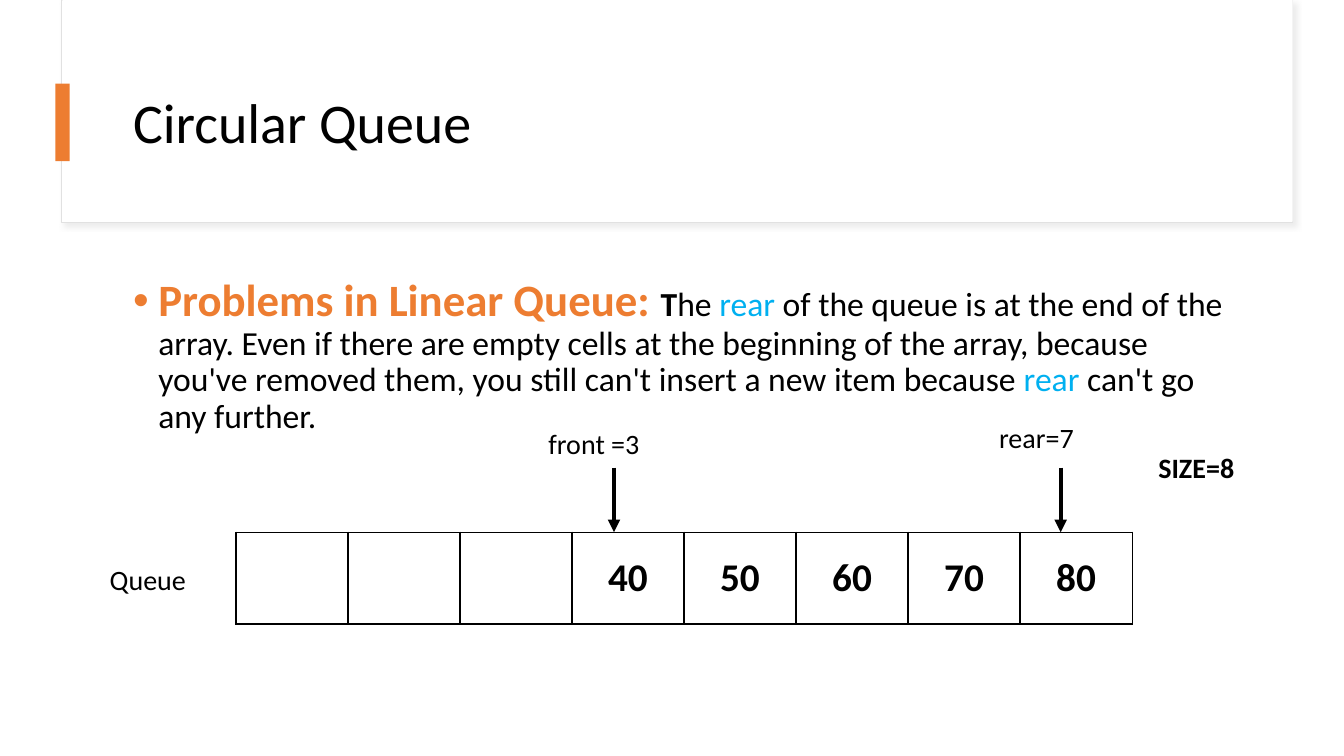
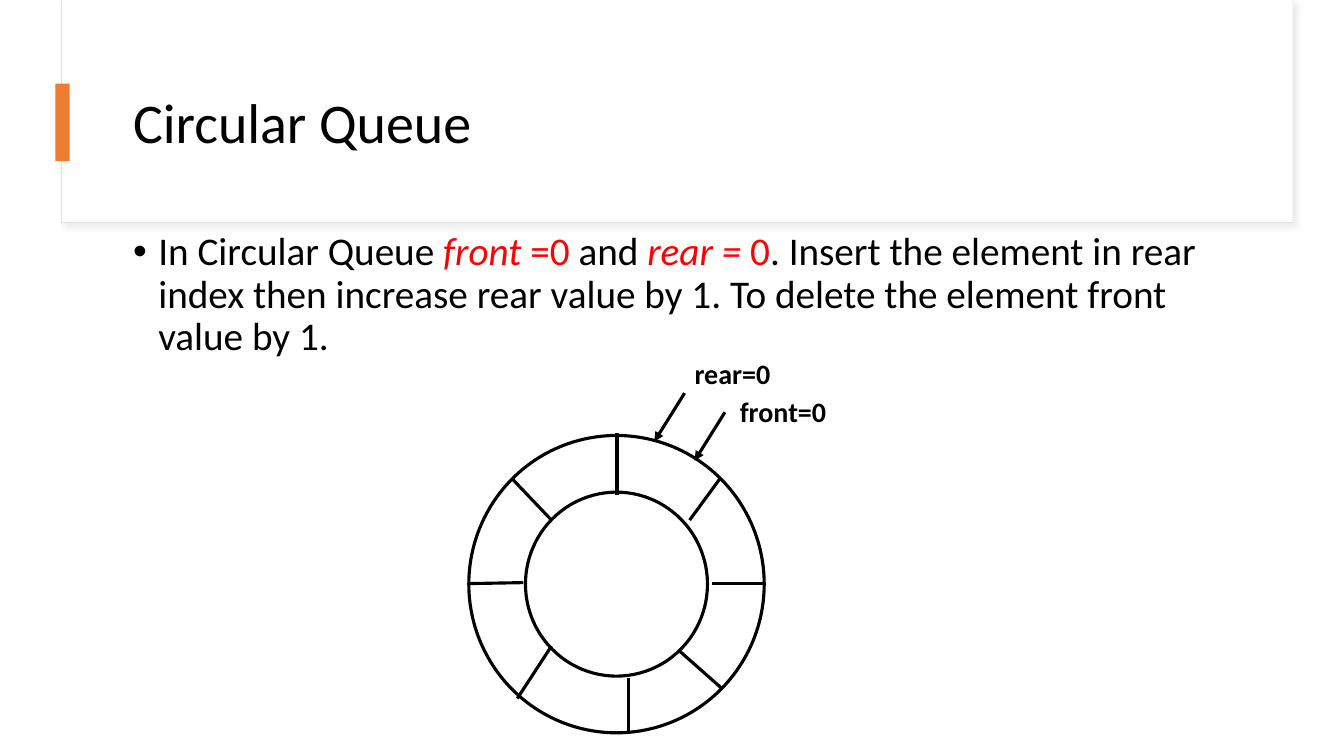
from lxml.etree import SubElement
from pptx import Presentation
from pptx.dml.color import RGBColor
from pptx.enum.shapes import MSO_CONNECTOR as Link, MSO_SHAPE as Preset
from pptx.enum.text import MSO_ANCHOR as Anchor, MSO_AUTO_SIZE as AutoSize, PP_ALIGN as Align
from pptx.oxml import parse_xml
from pptx.oxml.ns import nsdecls, qn
from pptx.util import Emu, Inches, Pt

BLACK, WHITE, ORANGE = "000000", "FFFFFF", "ED7D31"
BLUE, RED, PALE, SHADE = "00B0F0", "FF0000", "E1E1E1", "D9D9D9"
TITLE_BOX = (1.22, 0.6, 11.12, 1.29)


def colour(code):
    return RGBColor.from_string(code)


def write(frame, runs, size=20, ink=BLACK, bold=False, align=Align.LEFT, spacing=None):
    if isinstance(runs, str):
        runs = [(runs, {})]
    paragraph = frame.paragraphs[0]
    paragraph.alignment = align
    paragraph.line_spacing = spacing
    paragraph.space_before = Pt(0)
    for words, change in runs:
        run = paragraph.add_run()
        run.text = words
        font = run.font
        font.name = "Calibri"
        font.size = Pt(change.get("size", size))
        font.bold = change.get("bold", bold)
        font.italic = change.get("italic", False)
        font.color.rgb = colour(change.get("ink", ink))
    return paragraph


class Deck:
    def __init__(self):
        self.show = Presentation()
        self.show.slide_width, self.show.slide_height = Inches(13.33), Inches(7.5)
        self.slide = None

    def new_slide(self, heading):
        self.slide = self.show.slides.add_slide(self.show.slide_layouts[1])
        title = self.slide.shapes.title
        card = self.shape(Preset.RECTANGLE, (0.61, 0, 12.21, 2.21), WHITE, PALE, 0.75)
        self.cast_shadow(card)
        panel = self.shape(Preset.RECTANGLE, (0.62, 0, 12.2, 2.2), WHITE)
        for backdrop in (card, panel):
            title.element.addprevious(backdrop.element)
        self.shape(Preset.RECTANGLE, (0.55, 0.83, 0.14, 0.77), ORANGE)
        self.place(title, TITLE_BOX)
        title.text_frame.vertical_anchor = Anchor.MIDDLE
        write(title.text_frame, heading, size=40, spacing=0.9)

    def place(self, holder, box):
        holder.left, holder.top, holder.width, holder.height = map(Inches, box)
        holder.text_frame.auto_size = AutoSize.NONE
        holder.text_frame.word_wrap = True

    def body(self, box, runs, size):
        holder = self.slide.placeholders[1]
        self.place(holder, box)
        holder.text_frame.vertical_anchor = Anchor.TOP
        bullet = write(holder.text_frame, runs, size=size, spacing=0.9)
        properties = bullet._p.get_or_add_pPr()
        properties.set("marL", str(Inches(0.25)))
        properties.set("indent", str(Inches(-0.25)))
        SubElement(properties, qn("a:buFont")).set("typeface", "Arial")
        SubElement(properties, qn("a:buChar")).set("char", "•")

    def shape(self, preset, box, fill, line=None, weight=1):
        drawn = self.slide.shapes.add_shape(preset, *map(Inches, box))
        drawn.shadow.inherit = False
        drawn.fill.solid()
        drawn.fill.fore_color.rgb = colour(fill)
        if line:
            drawn.line.color.rgb = colour(line)
            drawn.line.width = Pt(weight)
        else:
            drawn.line.fill.background()
        return drawn

    def cast_shadow(self, drawn):
        effects = drawn.element.spPr.find(qn("a:effectLst"))
        effects.append(parse_xml(
            f'<a:outerShdw {nsdecls("a")} blurRad="{Pt(4)}" dist="{Pt(3)}" dir="2700000" '
            f'algn="tl" rotWithShape="0"><a:srgbClr val="{SHADE}">'
            '<a:alpha val="50000"/></a:srgbClr></a:outerShdw>'))

    def label(self, box, words, bold=False):
        frame = self.slide.shapes.add_textbox(*map(Inches, box)).text_frame
        frame.word_wrap = False
        frame.auto_size = AutoSize.SHAPE_TO_FIT_TEXT
        write(frame, words, bold=bold)

    def line(self, start, end, weight=2.25, arrow=False):
        stroke = self.slide.shapes.add_connector(Link.STRAIGHT, *map(Inches, start + end))
        stroke.line.color.rgb = colour(BLACK)
        stroke.line.width = Pt(weight)
        properties = stroke.element.spPr
        if arrow:
            SubElement(properties.find(qn("a:ln")), qn("a:tailEnd")).set("type", "triangle")
        SubElement(properties, qn("a:effectLst"))

    def cells(self, box, values):
        table = self.slide.shapes.add_table(1, len(values), *map(Inches, box)).table
        table.first_row = table.horz_banding = False
        for column in table.columns:
            column.width = Emu(int(Inches(box[2]) / len(values)))
        for cell, value in zip(table.iter_cells(), values):
            cell.vertical_anchor = Anchor.MIDDLE
            if value:
                write(cell.text_frame, value, size=28, bold=True, align=Align.CENTER)
            properties = cell._tc.get_or_add_tcPr()
            for side in ("lnL", "lnR", "lnT", "lnB"):
                properties.append(parse_xml(
                    f'<a:{side} {nsdecls("a")} w="{Pt(1)}"><a:solidFill>'
                    f'<a:srgbClr val="{BLACK}"/></a:solidFill></a:{side}>'))
            cell.fill.solid()
            cell.fill.fore_color.rgb = colour(WHITE)


deck = Deck()

deck.new_slide("Circular Queue")
deck.body((1.22, 2.71, 11.12, 4.04), [
    ("Problems in Linear Queue: ", {"size": 32, "ink": ORANGE, "bold": True}),
    ("T", {"bold": True}),
    ("he ", {}),
    ("rear", {"ink": BLUE}),
    (" of the queue is at the end of the array. Even if there are empty cells at the "
     "beginning of the array, because you've removed them, you still can't insert a new "
     "item because ", {}),
    ("rear", {"ink": BLUE}),
    (" can't go any further.", {}),
], size=24)
deck.cells((2.34, 5.28, 8.89, 0.91), ["", "", "", "40", "50", "60", "70", "80"])
deck.label((0.99, 5.53, 0.97, 0.44), "Queue")
deck.label((11.39, 4.42, 0.96, 0.44), "SIZE=8", bold=True)
for pointer_x in (6.09, 10.52):
    deck.line((pointer_x, 4.64), (pointer_x, 5.28), weight=3, arrow=True)
deck.label((5.34, 4.18, 1.11, 0.44), "front =3")
deck.label((9.81, 4.12, 0.95, 0.44), "rear=7")

deck.new_slide("Circular Queue")
deck.body((1.22, 2.25, 11.12, 1.38), [
    ("In Circular Queue ", {}),
    ("front", {"ink": RED, "italic": True}),
    (" =0", {"ink": RED}),
    (" and ", {}),
    ("rear = ", {"ink": RED, "italic": True}),
    ("0", {"ink": RED}),
    (". Insert the element in rear index then increase rear value by 1. "
     "To delete the element front value by 1.", {}),
], size=28)
ring = deck.shape(Preset.DONUT, (4.65, 4.32, 2.93, 2.95), WHITE, BLACK, 2.25)
ring.adjustments[0] = 0.192
SPOKES = [
    ((6.12, 4.3), (6.12, 4.91)), ((7.14, 4.75), (6.84, 5.16)),
    ((7.58, 5.79), (7.06, 5.79)), ((7.16, 6.83), (6.73, 6.45)),
    ((6.23, 7.28), (6.23, 6.73)), ((5.13, 6.93), (5.47, 6.41)),
    ((4.65, 5.79), (5.19, 5.78)), ((5.08, 4.75), (5.47, 5.16)),
]
for outer, inner in SPOKES:
    deck.line(outer, inner)
for pointer_x, pointer_y in ((6.79, 3.9), (7.19, 4.09)):
    deck.line((pointer_x, pointer_y), (pointer_x - 0.3, pointer_y + 0.48), arrow=True)
deck.label((7.24, 3.86, 1.07, 0.44), "front=0", bold=True)
deck.label((6.79, 3.49, 0.96, 0.44), "rear=0", bold=True)

deck.show.save("out.pptx")
